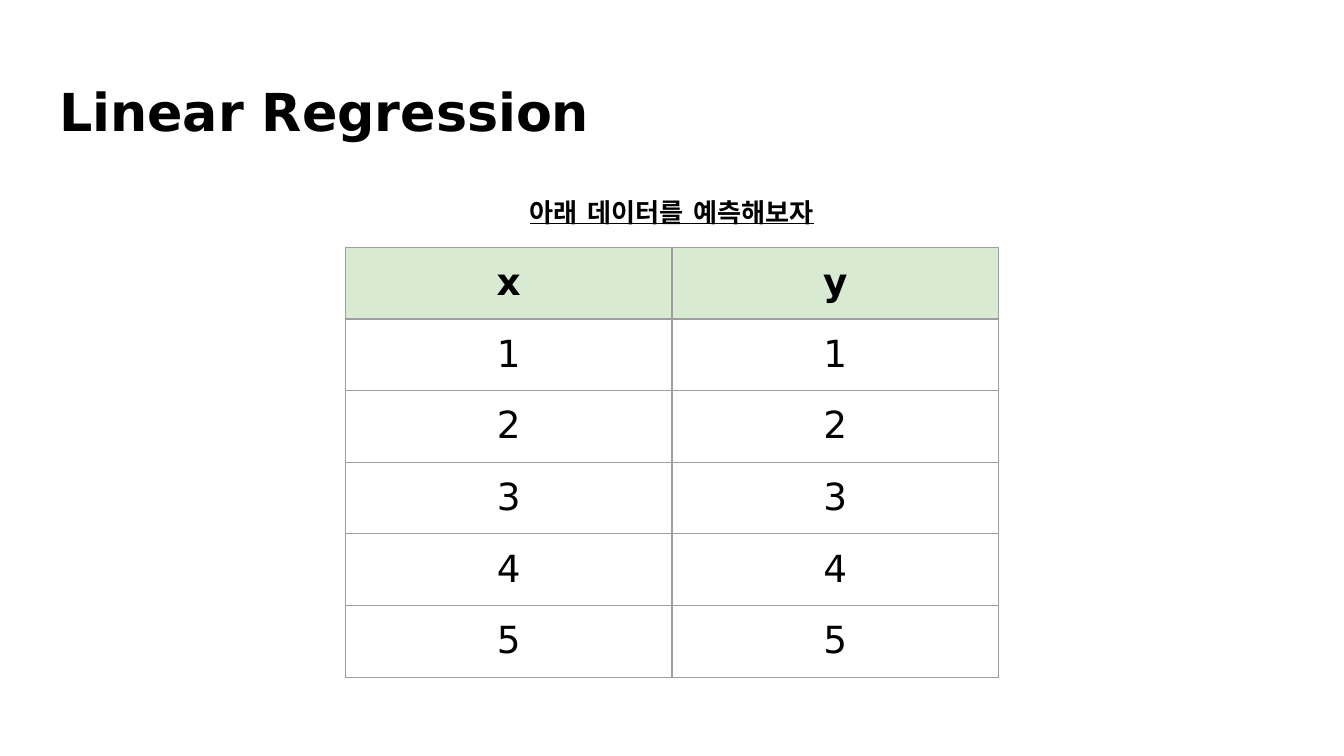
from dataclasses import dataclass

from lxml import etree
from pptx import Presentation
from pptx.dml.color import RGBColor
from pptx.enum.text import MSO_ANCHOR, PP_ALIGN
from pptx.oxml.ns import qn
from pptx.util import Inches, Pt

CENTER, LEFT = PP_ALIGN.CENTER, PP_ALIGN.LEFT
TOP, MIDDLE = MSO_ANCHOR.TOP, MSO_ANCHOR.MIDDLE
TITLE_ONLY = 5
SLIDE_W = Inches(10)
SLIDE_H = SLIDE_W * 9 // 16
INSET = Inches(0.1)


@dataclass(frozen=True)
class Theme:
    font: str = "DejaVu Sans"
    ink: str = "000000"
    header_fill: str = "D9EAD3"
    border: str = "9E9E9E"
    border_pt: float = 0.75
    title_pt: int = 28
    cell_pt: int = 20
    prompt_pt: int = 14


@dataclass(frozen=True)
class Box:
    """A horizontally centred area; all values in inches."""
    top: float
    width: float
    height: float

    def place(self) -> tuple[int, int, int, int]:
        width = Inches(self.width)
        return (SLIDE_W - width) // 2, Inches(self.top), width, Inches(self.height)


THEME = Theme()
TITLE_BOX = Box(0.49, 9.32, 0.63)
PROMPT_BOX = Box(1.36, 2.84, 0.32)
DATA_BOX = Box(1.84, 4.86, 3.2)
DATA = [("x", "y")] + [(str(n), str(n)) for n in range(1, 6)]


# Text
def write(frame, text: str, size: int, bold: bool, align=CENTER,
          underline: bool = False, spacing: float = 1.0) -> None:
    paragraph = frame.paragraphs[0]
    paragraph.alignment = align
    paragraph.line_spacing = spacing
    run = paragraph.add_run()
    run.text = text
    font = run.font
    font.name, font.size, font.bold = THEME.font, Pt(size), bold
    font.underline = underline
    font.color.rgb = RGBColor.from_string(THEME.ink)
    # East Asian glyphs take the same typeface
    latin = run._r.get_or_add_rPr().find(qn("a:latin"))
    latin.addnext(etree.Element(qn("a:ea"), typeface=THEME.font))


def set_insets(area) -> None:
    area.margin_left = area.margin_right = INSET
    area.margin_top = area.margin_bottom = INSET


# Title
def add_title(slide, text: str) -> None:
    title = slide.shapes.title
    title.left, title.top, title.width, title.height = TITLE_BOX.place()
    frame = title.text_frame
    set_insets(frame)
    frame.word_wrap, frame.vertical_anchor = True, TOP
    write(frame, text, THEME.title_pt, True, LEFT)


# Data table
def add_borders(cell) -> None:
    properties = cell._tc.get_or_add_tcPr()
    for position, side in enumerate(("lnL", "lnR", "lnT", "lnB")):
        line = etree.Element(qn(f"a:{side}"), w=str(Pt(THEME.border_pt)))
        fill = etree.SubElement(line, qn("a:solidFill"))
        etree.SubElement(fill, qn("a:srgbClr"), val=THEME.border)
        properties.insert(position, line)


def add_data_table(slide, rows: list[tuple[str, str]]) -> None:
    table = slide.shapes.add_table(len(rows), len(rows[0]), *DATA_BOX.place()).table
    for r, values in enumerate(rows):
        is_header = r == 0
        for c, value in enumerate(values):
            cell = table.cell(r, c)
            set_insets(cell)
            if is_header:
                cell.fill.solid()
                cell.fill.fore_color.rgb = RGBColor.from_string(THEME.header_fill)
            else:
                cell.fill.background()
            add_borders(cell)
            write(cell.text_frame, value, THEME.cell_pt, is_header)


# Prompt above the table
def add_prompt(slide, text: str) -> None:
    frame = slide.shapes.add_textbox(*PROMPT_BOX.place()).text_frame
    set_insets(frame)
    frame.word_wrap, frame.vertical_anchor = True, MIDDLE
    write(frame, text, THEME.prompt_pt, True, underline=True, spacing=1.5)


def main() -> None:
    deck = Presentation()
    deck.slide_width, deck.slide_height = SLIDE_W, SLIDE_H
    slide = deck.slides.add_slide(deck.slide_layouts[TITLE_ONLY])
    add_title(slide, "Linear Regression")
    add_data_table(slide, DATA)
    add_prompt(slide, "아래 데이터를 예측해보자")
    deck.save("out.pptx")


if __name__ == "__main__":
    main()
